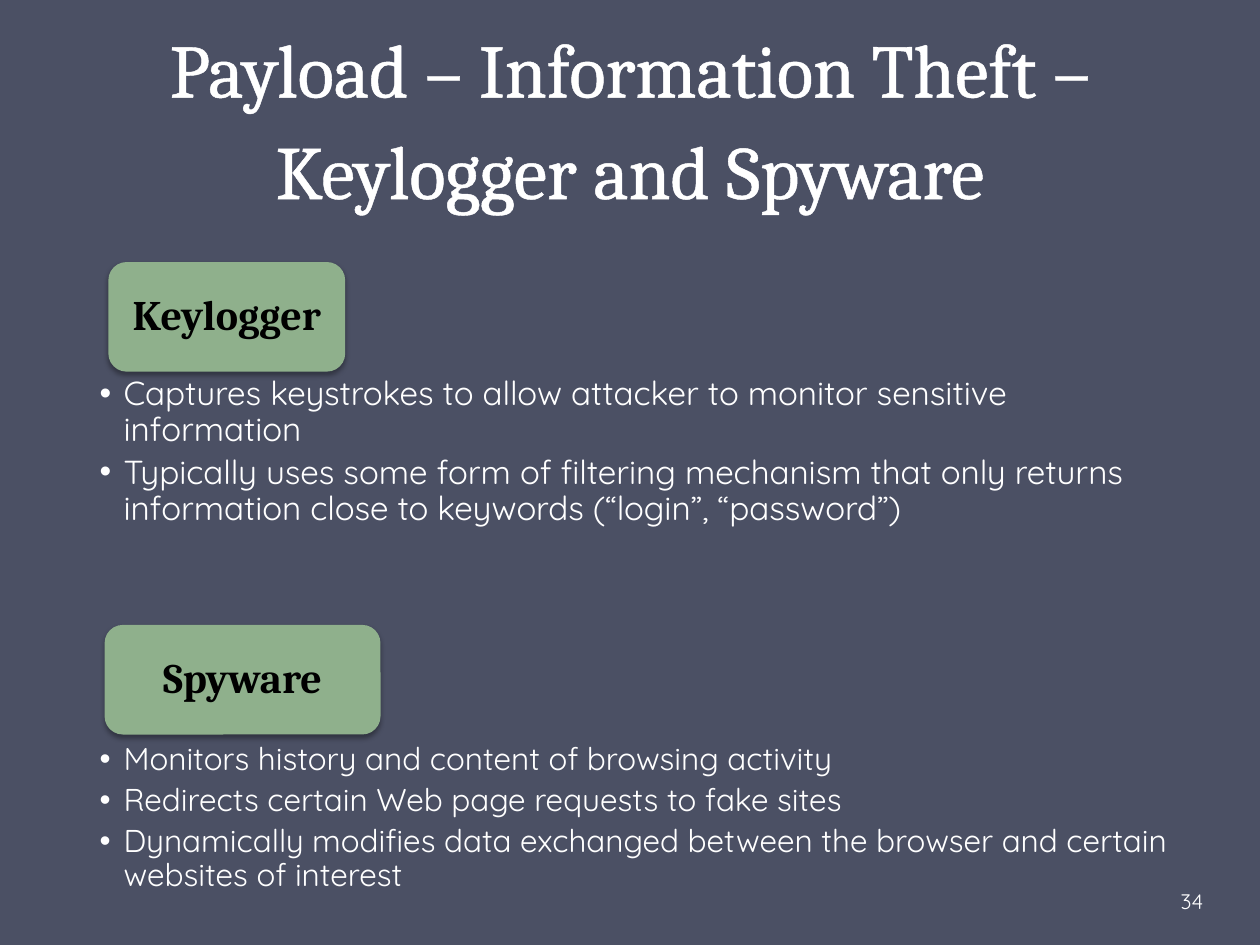
from lxml import etree
from pptx import Presentation
from pptx import util as u
from pptx.dml.color import RGBColor
from pptx.enum import shapes, text
from pptx.oxml import ns, parse_xml

COLORS = {"background": "4B5064", "label": "8FB08C", "light": "FFFFFF",
          "dark": "000000"}
HEADING, BODY = "Cambria", "Quicksand"
A = ns.nsdecls("a")


def color(name):
    return RGBColor.from_string(COLORS[name])


def write(box, lines, size, font=BODY, ink="light", bold=False,
          align=text.PP_ALIGN.LEFT, anchor=text.MSO_ANCHOR.TOP,
          margins=(0.1, 0.1, 0.1, 0.1), spacing=0.9, after=0, bullets=False):
    """Fill a shape with paragraphs; margins run left, top, right, bottom."""
    frame = box.text_frame
    frame.auto_size = text.MSO_AUTO_SIZE.NONE
    frame.word_wrap = True
    frame.vertical_anchor = anchor
    (frame.margin_left, frame.margin_top,
     frame.margin_right, frame.margin_bottom) = map(u.Inches, margins)
    for number, line in enumerate(lines):
        para = frame.add_paragraph() if number else frame.paragraphs[0]
        para.text = line
        para.alignment = align
        para.line_spacing = spacing
        para.space_before = u.Pt(0)
        para.space_after = u.Pt(after)
        if bullets:
            props = para._p.get_or_add_pPr()
            props.set("marL", str(u.Inches(0.19)))
            props.set("indent", str(u.Inches(-0.19)))
            props.append(parse_xml(f'<a:buFont {A} typeface="Arial"/>'))
            props.append(parse_xml(f'<a:buChar {A} char="•"/>'))
        for span in para.runs:
            span.font.name = font
            span.font.size = u.Pt(size)
            span.font.bold = bold
            span.font.color.rgb = color(ink)


deck = Presentation()
deck.slide_width, deck.slide_height = u.Inches(10), u.Inches(7.5)
page = deck.slides.add_slide(deck.slide_layouts[3])
page.background.fill.solid()
page.background.fill.fore_color.rgb = color("background")

# Title with a thin outline on its letters
title = page.shapes.title
title.left, title.top = u.Inches(0.5), u.Inches(0)
title.width, title.height = u.Inches(9), u.Inches(1.75)
write(title, ["Payload – Information Theft –\vKeylogger and Spyware"], 43,
      font=HEADING, align=text.PP_ALIGN.CENTER, anchor=text.MSO_ANCHOR.BOTTOM,
      margins=(0.1, 0.05, 0.1, 0.05), spacing=u.Pt(58))
for span in title.text_frame.paragraphs[0].runs:
    outline = parse_xml(f'<a:ln {A} w="{u.Pt(1.45)}"/>')
    fill = etree.SubElement(outline, ns.qn("a:solidFill"))
    etree.SubElement(fill, ns.qn("a:srgbClr"), val=COLORS["light"])
    span.font._element.insert(0, outline)

# Sections: label, its left, top and width; list top, height, size, right margin
sections = [
    ("Keylogger", 0.86, 2.08, 1.88, 2.96, 2.04, 19, 0.19, [
        "Captures keystrokes to allow attacker to monitor sensitive information",
        "Typically uses some form of filtering mechanism that only returns "
        "information close to keywords (“login”, “password”)"]),
    ("Spyware", 0.83, 4.96, 2.19, 5.87, 1.3, 18, 0.14, [
        "Monitors history and content of browsing activity",
        "Redirects certain Web page requests to fake sites",
        "Dynamically modifies data exchanged between the browser and certain "
        "websites of interest"]),
]
for index, section in enumerate(sections, start=1):
    name, left, top, width, list_top, list_height, size, right, points = section

    # Bulleted list
    body = page.placeholders[index]
    body.left, body.top = u.Inches(0.5), u.Inches(list_top)
    body.width, body.height = u.Inches(9), u.Inches(list_height)
    write(body, points, size, margins=(0.29, 0.03, right, 0.03),
          after=4, bullets=True)

    # Rounded label with a soft shadow
    label = page.shapes.add_shape(
        shapes.MSO_SHAPE.ROUNDED_RECTANGLE, u.Inches(left), u.Inches(top),
        u.Inches(width), u.Inches(0.87))
    label.fill.solid()
    label.fill.fore_color.rgb = color("label")
    label.line.fill.background()
    label.shadow.inherit = False
    effects = label._element.spPr.find(ns.qn("a:effectLst"))
    effects.append(parse_xml(
        f'<a:outerShdw {A} blurRad="{u.Pt(3.1)}" dist="{u.Pt(1.8)}" '
        f'dir="5400000" rotWithShape="0"><a:srgbClr val="{COLORS["dark"]}">'
        '<a:alpha val="35000"/></a:srgbClr></a:outerShdw>'))
    write(label, [name], 24, font=HEADING, ink="dark", bold=True,
          align=text.PP_ALIGN.CENTER, anchor=text.MSO_ANCHOR.MIDDLE)

# Page number
number_box = page.shapes.add_textbox(
    u.Inches(9.34), u.Inches(6.95), u.Inches(0.61), u.Inches(0.4))
write(number_box, ["34"], 12, anchor=text.MSO_ANCHOR.MIDDLE,
      margins=(0.03, 0.05, 0.05, 0.05), spacing=1.0)

deck.save("out.pptx")
